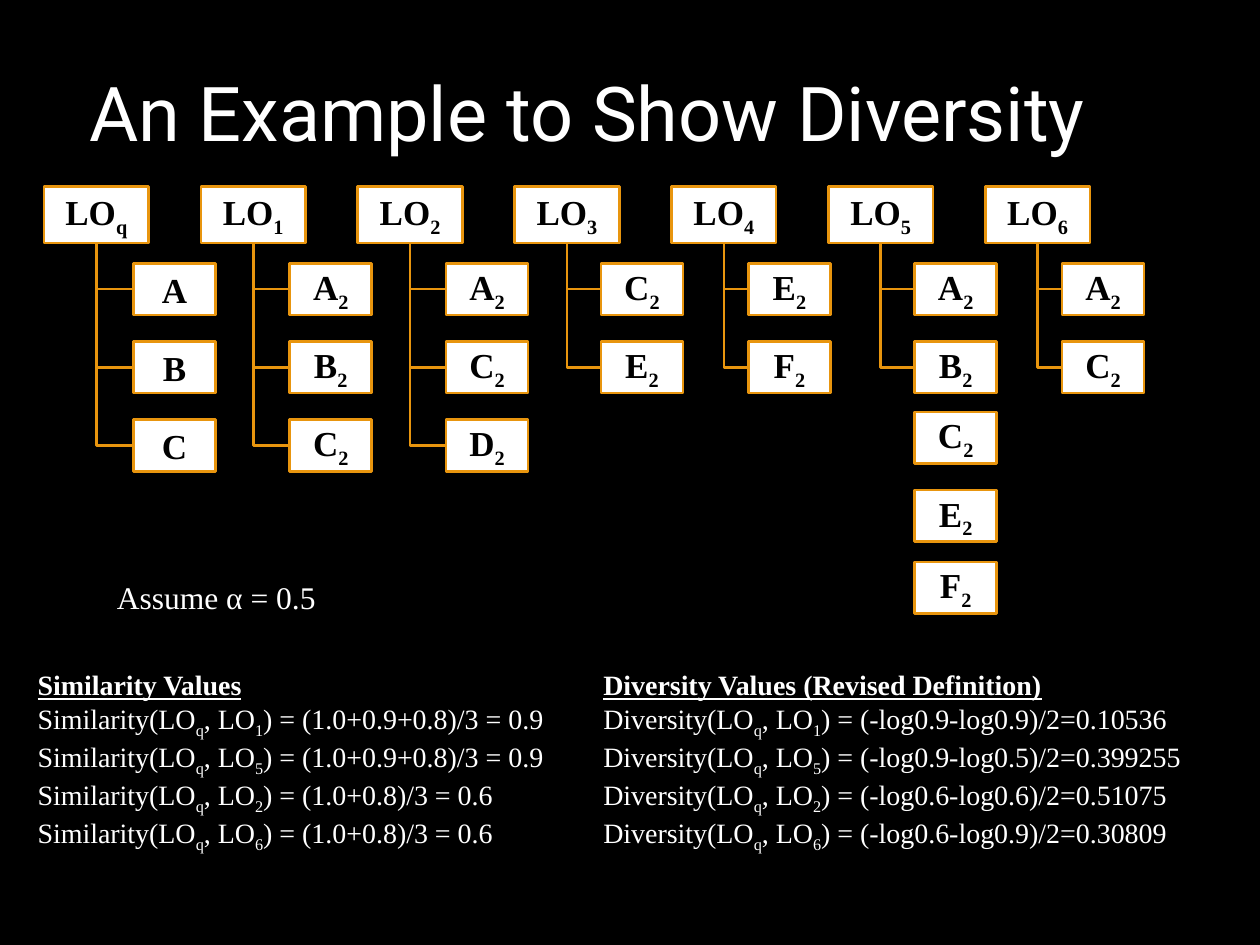
from dataclasses import dataclass

from lxml import etree
from pptx import Presentation
from pptx.dml.color import RGBColor
from pptx.enum import shapes, text
from pptx.oxml.ns import qn
from pptx.util import Inches, Pt


@dataclass(frozen=True)
class Theme:
    background: RGBColor = RGBColor(0, 0, 0)
    light: RGBColor = RGBColor(255, 255, 255)
    dark: RGBColor = RGBColor(0, 0, 0)
    accent: RGBColor = RGBColor(0xE8, 0x95, 0x0E)
    title_font: str = "Roboto"
    body_font: str = "Times New Roman"
    title_size: float = 43.2
    node_size: float = 20
    note_size: float = 18
    list_size: float = 16
    line_width: float = 1.5


class SlideBuilder:
    """Holds the theme and the current slide; lengths are in inches."""

    def __init__(self, slide, theme):
        self.slide = slide
        self.theme = theme
        slide.background.fill.solid()
        slide.background.fill.fore_color.rgb = theme.background

    def add_runs(self, paragraph, content, size, color, font=None, bold=False, underline=False):
        """Add content as runs; the character after each underscore is a subscript."""
        first, *rest = content.split("_")
        pieces = [(first, False)]
        for part in rest:
            pieces += [(part[0], True), (part[1:], False)]
        for piece, subscript in pieces:
            if not piece:
                continue
            run = paragraph.add_run()
            run.text = piece
            run.font.name = font or self.theme.body_font
            run.font.size = Pt(size)
            run.font.color.rgb = color
            run.font.bold = bold
            run.font.underline = underline
            if subscript:
                run.font._element.set("baseline", "-25000")

    def title(self, content, left, top, width, height):
        box = self.slide.shapes.add_textbox(*map(Inches, (left, top, width, height)))
        frame = box.text_frame
        frame.word_wrap = True
        frame.vertical_anchor = text.MSO_ANCHOR.MIDDLE
        paragraph = frame.paragraphs[0]
        paragraph.alignment = text.PP_ALIGN.CENTER
        self.add_runs(paragraph, content, self.theme.title_size, self.theme.light,
                      self.theme.title_font)

    def node(self, label, left, top, width, height):
        shape = self.slide.shapes.add_shape(
            shapes.MSO_SHAPE.FLOWCHART_PROCESS, *map(Inches, (left, top, width, height)))
        shape.shadow.inherit = False
        shape.fill.solid()
        shape.fill.fore_color.rgb = self.theme.light
        shape.line.color.rgb = self.theme.accent
        shape.line.width = Pt(self.theme.line_width)
        frame = shape.text_frame
        frame.vertical_anchor = text.MSO_ANCHOR.MIDDLE
        paragraph = frame.paragraphs[0]
        paragraph.alignment = text.PP_ALIGN.CENTER
        self.add_runs(paragraph, label, self.theme.node_size, self.theme.dark, bold=True)

    def branch(self, x1, y1, x2, y2):
        """Draw a line down from (x1, y1), then right to (x2, y2)."""
        center_x, center_y = (x1 + x2) / 2, (y1 + y2) / 2
        half_run, half_drop = (x2 - x1) / 2, (y2 - y1) / 2
        # The one-bend preset is turned a quarter, so its width is the drop
        corners = (center_x - half_drop, center_y - half_run,
                   center_x + half_drop, center_y + half_run)
        connector = self.slide.shapes.add_connector(
            shapes.MSO_CONNECTOR.ELBOW, *map(Inches, corners))
        connector.line.color.rgb = self.theme.accent
        connector.line.width = Pt(self.theme.line_width)
        properties = connector._element.spPr
        properties.find(qn("a:prstGeom")).set("prst", "bentConnector2")
        transform = properties.find(qn("a:xfrm"))
        transform.set("rot", "16200000")
        transform.set("flipH", "1")
        etree.SubElement(properties, qn("a:effectLst"))

    def text_block(self, lines, left, top, width, height, size, heading=None):
        box = self.slide.shapes.add_textbox(*map(Inches, (left, top, width, height)))
        frame = box.text_frame
        frame.word_wrap = False
        frame.auto_size = text.MSO_AUTO_SIZE.SHAPE_TO_FIT_TEXT
        paragraph = frame.paragraphs[0]
        if heading:
            self.add_runs(paragraph, heading, size, self.theme.light, bold=True, underline=True)
            paragraph = frame.add_paragraph()
        for index, line in enumerate(lines):
            if index:
                paragraph = frame.add_paragraph()
            self.add_runs(paragraph, line, size, self.theme.light)


# Layout of the trees
OBJECT_LEFT, OBJECT_STEP, OBJECT_TOP = 0.35, 1.245, 1.48
OBJECT_WIDTH, OBJECT_HEIGHT = 0.83, 0.45
TOPIC_WIDTH, TOPIC_HEIGHT = 0.65, 0.41
TOPIC_TOPS = (2.09, 2.71, 3.33)
LONG_TOPIC_TOPS = (2.09, 2.71, 3.27, 3.89, 4.46)

# Object, left of its topics, topics, number of topics joined to it
TREES = [
    ("LO_q", 1.06, ["A", "B", "C"], 3),
    ("LO_1", 2.30, ["A_2", "B_2", "C_2"], 3),
    ("LO_2", 3.54, ["A_2", "C_2", "D_2"], 3),
    ("LO_3", 4.77, ["C_2", "E_2"], 2),
    ("LO_4", 5.94, ["E_2", "F_2"], 2),
    ("LO_5", 7.26, ["A_2", "B_2", "C_2", "E_2", "F_2"], 2),
    ("LO_6", 8.43, ["A_2", "C_2"], 2),
]

# Compared object, similarity, diversity
VALUES = [
    ("1", "(1.0+0.9+0.8)/3 = 0.9", "(-log0.9-log0.9)/2=0.10536"),
    ("5", "(1.0+0.9+0.8)/3 = 0.9", "(-log0.9-log0.5)/2=0.399255"),
    ("2", "(1.0+0.8)/3 = 0.6", "(-log0.6-log0.6)/2=0.51075"),
    ("6", "(1.0+0.8)/3 = 0.6", "(-log0.6-log0.9)/2=0.30809"),
]


def main():
    presentation = Presentation()
    presentation.slide_width, presentation.slide_height = Inches(10), Inches(7.5)
    theme = Theme()
    builder = SlideBuilder(
        presentation.slides.add_slide(presentation.slide_layouts[6]), theme)

    builder.title("An Example to Show Diversity", 0.47, 0.11, 8.38, 1.55)

    # Objects with their topics
    for column, (name, topic_left, topics, joined) in enumerate(TREES):
        left = OBJECT_LEFT + column * OBJECT_STEP
        builder.node(name, left, OBJECT_TOP, OBJECT_WIDTH, OBJECT_HEIGHT)
        tops = LONG_TOPIC_TOPS if len(topics) > len(TOPIC_TOPS) else TOPIC_TOPS
        for row, (topic, top) in enumerate(zip(topics, tops)):
            builder.node(topic, topic_left, top, TOPIC_WIDTH, TOPIC_HEIGHT)
            if row < joined:
                builder.branch(left + OBJECT_WIDTH / 2, OBJECT_TOP + OBJECT_HEIGHT,
                               topic_left, top + TOPIC_HEIGHT / 2)

    # Assumption and computed values
    builder.text_block(["Assume α = 0.5"], 0.83, 4.54, 1.85, 0.4, theme.note_size)
    builder.text_block([f"Similarity(LO_q, LO_{n}) = {value}" for n, value, _ in VALUES],
                       0.2, 5.25, 4.29, 1.72, theme.list_size, "Similarity Values")
    builder.text_block([f"Diversity(LO_q, LO_{n}) = {value}" for n, _, value in VALUES],
                       4.69, 5.25, 4.86, 1.72, theme.list_size,
                       "Diversity Values (Revised Definition)")

    presentation.save("out.pptx")


if __name__ == "__main__":
    main()
